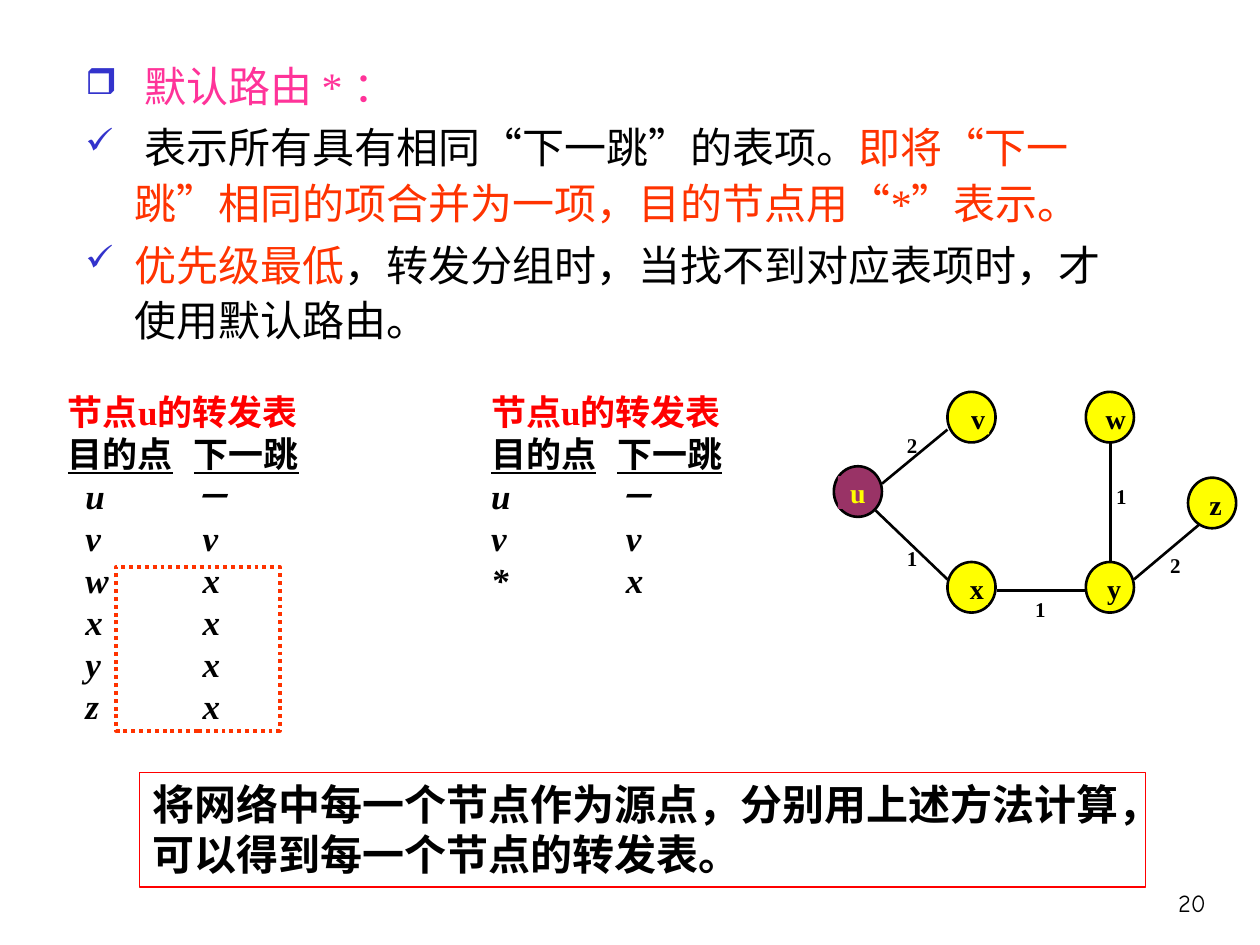
"""Build the slide on default routes and the forwarding table of node u."""
import lxml.etree
import pptx
import pptx.dml.color
import pptx.enum.dml
import pptx.enum.shapes
import pptx.enum.text
import pptx.oxml.ns
import pptx.util

Cm = pptx.util.Cm
Pt = pptx.util.Pt
ALIGN = pptx.enum.text.PP_ALIGN
SHAPES = pptx.enum.shapes.MSO_SHAPE
SERIF, ROUND = "Times New Roman", "Comic Neue"
COLOURS = {
    "black": "000000", "white": "FFFFFF", "pink": "FF3399", "orange": "FF3300",
    "red": "FF0000", "blue": "3333CC", "plum": "993366", "yellow": "FFFF00",
}

POINTS = [
    ("❒", [(" 默认路由 * ：", "pink")]),
    ("✓", [(" 表示所有具有相同“下一跳”的表项。", "black"),
           ("即将“下一跳”相同的项合并为一项，目的节点用“*”表示。", "orange")]),
    ("✓", [("优先级最低", "orange"),
           ("，转发分组时，当找不到对应表项时，才使用默认路由。", "black")]),
]
TABLE_TITLE = "节点u的转发表"
TABLE_HEADS = ("目的点", "下一跳")
NEXT_COLUMN = 2.54
TABLES = [
    {"place": (1.12, 7.75, 7.44, 7.34), "indent": 0.35,
     "routes": [("u", "－"), ("v", " v"), ("w", " x"),
                ("x", " x"), ("y", " x"), ("z", " x")]},
    {"place": (9.65, 7.75, 5.82, 5.13), "indent": 0,
     "routes": [("u", "－"), ("v", " v"), ("*", " x")]},
]
CONCLUSION = "将网络中每一个节点作为源点，分别用上述方法计算，可以得到每一个节点的转发表。"

NODE_SIZE = (0.97, 1.02)
LETTER_SIZE = (0.61, 0.66)
NODES = [
    ("u", 16.81, 9.40, 0.08), ("y", 21.89, 11.33, 0.18),
    ("x", 19.10, 11.33, 0.20), ("w", 21.89, 7.90, 0.15),
    ("v", 19.10, 7.90, 0.23), ("z", 23.95, 9.63, 0.18),
]
COSTS = [("2", 18.03, 8.59), ("1", 22.25, 9.63), ("2", 23.34, 11.02),
         ("1", 18.03, 10.87), ("1", 20.62, 11.91)]
EDGES = [
    (22.38, 8.92, 22.38, 11.33), (20.09, 11.91, 21.89, 11.91),
    (19.10, 8.66, 17.78, 9.75), (24.18, 10.57, 22.86, 11.68),
    (17.65, 10.29, 19.10, 11.68),
]


def rgb(name):
    return pptx.dml.color.RGBColor.from_string(COLOURS[name])


def add_child(parent, tag, **attributes):
    child = lxml.etree.SubElement(parent, pptx.oxml.ns.qn(tag))
    for key, value in attributes.items():
        child.set(key, str(value))
    return child


def add_tabs(para, *stops):
    tabs = add_child(para._p.get_or_add_pPr(), "a:tabLst")
    for stop in stops:
        add_child(tabs, "a:tab", pos=int(Cm(stop)), algn="l")


def add_span(para, text, size, colour, font=SERIF, **style):
    span = para.add_run()
    span.text = text
    span.font.size = Pt(size)
    span.font.name = font
    span.font.color.rgb = rgb(colour)
    for key, value in style.items():
        setattr(span.font, key, value)


def add_text_box(page, place):
    box = page.shapes.add_textbox(*map(Cm, place))
    box.text_frame.word_wrap = True
    return box.text_frame


def add_figure(page, kind, place, fill=None, line=None, width=1.5):
    shape = page.shapes.add_shape(kind, *map(Cm, place))
    shape.shadow.inherit = False
    if fill:
        shape.fill.solid()
        shape.fill.fore_color.rgb = rgb(fill)
    else:
        shape.fill.background()
    if line:
        shape.line.color.rgb = rgb(line)
        shape.line.width = Pt(width)
    else:
        shape.line.fill.background()
    shape.text_frame.word_wrap = True
    shape.text_frame.vertical_anchor = pptx.enum.text.MSO_ANCHOR.TOP
    shape.text_frame.paragraphs[0].alignment = ALIGN.LEFT
    return shape


def next_para(frame, index):
    para = frame.add_paragraph() if index else frame.paragraphs[0]
    para.alignment = ALIGN.LEFT
    return para


def add_points(page):
    frame = add_text_box(page, (1.47, 0.99, 21.59, 6.48))
    for index, (mark, spans) in enumerate(POINTS):
        para = next_para(frame, index)
        para.line_spacing = 1.1
        if index:
            para.space_before = Pt(3.6)
        props = para._p.get_or_add_pPr()
        props.set("marL", str(int(Cm(1.0))))
        props.set("indent", str(int(Cm(-1.0))))
        add_child(add_child(props, "a:buClr"), "a:srgbClr", val=COLOURS["blue"])
        add_child(props, "a:buSzPct", val=85000)
        add_child(props, "a:buChar", char=mark)
        add_tabs(para, 1.0)
        for text, colour in spans:
            add_span(para, text, 24, colour)


def add_routes(page, place, indent, routes):
    frame = add_figure(page, SHAPES.RECTANGLE, place, "white").text_frame
    add_span(next_para(frame, 0), TABLE_TITLE, 20, "red", bold=True)
    heads = next_para(frame, 1)
    add_tabs(heads, NEXT_COLUMN)
    add_span(heads, TABLE_HEADS[0], 20, "black", bold=True, underline=True)
    add_span(heads, "\t", 20, "black", bold=True)
    add_span(heads, TABLE_HEADS[1], 20, "black", bold=True, underline=True)
    for index, route in enumerate(routes, 2):
        para = next_para(frame, index)
        add_tabs(para, *([indent] if indent else []), NEXT_COLUMN)
        lead = "\t" if indent else ""
        add_span(para, lead + "\t".join(route), 20, "black", bold=True, italic=True)


def add_network(page):
    for cost, left, top in COSTS:
        para = add_text_box(page, (left, top, *LETTER_SIZE)).paragraphs[0]
        para.alignment = ALIGN.JUSTIFY
        add_span(para, cost, 12, "black", bold=True)
    for name, left, top, nudge in NODES:
        source = name == "u"
        fill = "plum" if source else "yellow"
        add_figure(page, SHAPES.OVAL, (left, top, *NODE_SIZE), fill, "black")
        letter = add_figure(page, SHAPES.RECTANGLE,
                            (left + nudge, top + 0.2, *LETTER_SIZE), fill)
        para = letter.text_frame.paragraphs[0]
        para.alignment = ALIGN.JUSTIFY if source else ALIGN.CENTER
        para.line_spacing = 0.8
        add_span(para, name, 16, "yellow" if source else "black", bold=True)
    for ends in EDGES:
        edge = page.shapes.add_connector(
            pptx.enum.shapes.MSO_CONNECTOR.STRAIGHT, *map(Cm, ends))
        edge.line.color.rgb = rgb("black")
        edge.line.width = Pt(1.5)
        add_child(edge._element.spPr, "a:effectLst")


def main():
    deck = pptx.Presentation()
    deck.slide_width, deck.slide_height = Cm(25.4), Cm(19.05)
    page = deck.slides.add_slide(deck.slide_layouts[6])
    number = add_text_box(page, (22.68, 17.78, 1.88, 1.27)).paragraphs[0]
    number.alignment = ALIGN.RIGHT
    add_span(number, "20", 14, "black", ROUND)
    add_points(page)
    for table in TABLES:
        add_routes(page, **table)
    conclusion = add_figure(page, SHAPES.RECTANGLE, (2.82, 15.57, 20.27, 2.31),
                            line="red", width=0.75)
    add_span(conclusion.text_frame.paragraphs[0], CONCLUSION, 24, "black",
             ROUND, bold=True)
    add_network(page)
    merged = add_figure(page, SHAPES.RECTANGLE, (2.34, 11.43, 3.3, 3.3),
                        line="orange", width=2.25)
    merged.line.dash_style = pptx.enum.dml.MSO_LINE.ROUND_DOT
    deck.save("out.pptx")


if __name__ == "__main__":
    main()
